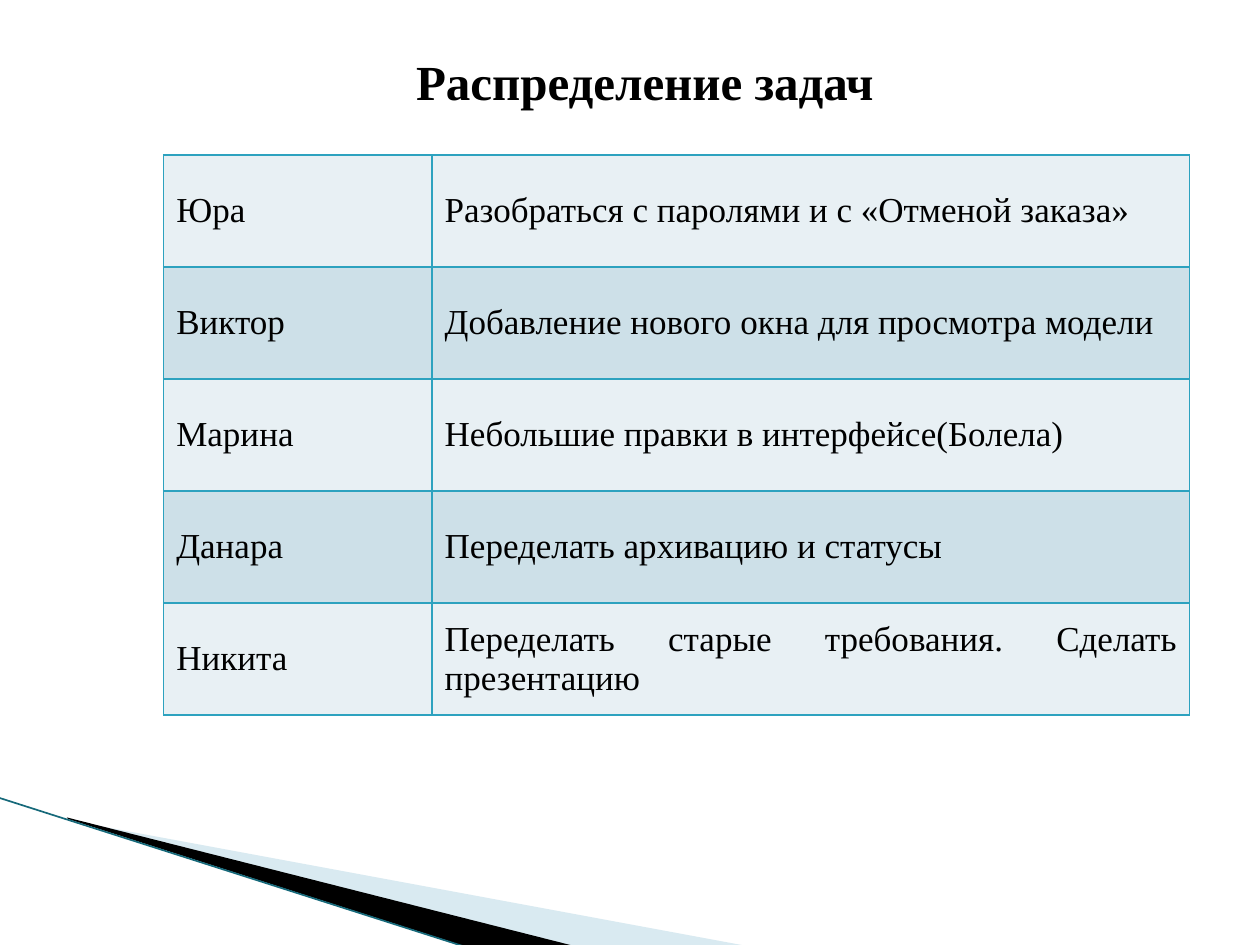
from lxml import etree
from pptx import Presentation
from pptx.dml.color import RGBColor
from pptx.enum.shapes import MSO_CONNECTOR
from pptx.enum.text import MSO_ANCHOR, MSO_AUTO_SIZE, PP_ALIGN
from pptx.oxml.ns import qn
from pptx.util import Cm, Pt

FONT = "Times New Roman"
BLACK = RGBColor(0x00, 0x00, 0x00)
PALE_BLUE = RGBColor(0xA0, 0xCB, 0xDC)
DARK_TEAL = RGBColor(0x16, 0x69, 0x7A)
BORDER = RGBColor(0x2D, 0xA2, 0xBF)
BANDS = (RGBColor(0xE8, 0xF0, 0xF4), RGBColor(0xCD, 0xE0, 0xE8))
STRAIGHT = MSO_CONNECTOR.STRAIGHT
MIDDLE = MSO_ANCHOR.MIDDLE
FIT_SHAPE = MSO_AUTO_SIZE.SHAPE_TO_FIT_TEXT
LEFT, CENTER, JUSTIFY = PP_ALIGN.LEFT, PP_ALIGN.CENTER, PP_ALIGN.JUSTIFY
TITLE_ONLY = 5

TASKS = (
    ("Юра", "Разобраться с паролями и с «Отменой заказа»"),
    ("Виктор", "Добавление нового окна для просмотра модели"),
    ("Марина", "Небольшие правки в интерфейсе(Болела)"),
    ("Данара", "Переделать архивацию и статусы"),
    ("Никита", "Переделать старые требования. Сделать презентацию"),
)
COLUMN_WIDTHS = (5.41, 15.27)
ROW_HEIGHT = 2.26
PALE_WEDGE = ((1.4, 16.54), (15.11, 19.08), (11.58, 19.08), (1.4, 16.51))
BLACK_WEDGE = ((1.35, 16.48), (11.61, 19.08), (9.45, 19.1), (1.37, 16.51))


def format_paragraph(paragraph, size, align, bold=False):
    """Set the font and alignment of a whole paragraph."""
    paragraph.alignment = align
    font = paragraph.font
    font.name, font.size, font.bold = FONT, Pt(size), bold
    font.color.rgb = BLACK


def add_wedge(page, points, color, opacity=100):
    """Draw a filled polygon through points given in centimetres."""
    start, *others = [(Cm(x), Cm(y)) for x, y in points]
    builder = page.shapes.build_freeform(*start)
    builder.add_line_segments(others, close=True)
    wedge = builder.convert_to_shape()
    wedge.shadow.inherit = False
    wedge.line.fill.background()
    wedge.fill.solid()
    wedge.fill.fore_color.rgb = color
    if opacity < 100:
        tint = wedge.fill._xPr.find(".//" + qn("a:srgbClr"))
        etree.SubElement(tint, qn("a:alpha"), val=str(opacity * 1000))


def add_edge_line(page):
    """Draw the thin line along the corner decoration."""
    line = page.shapes.add_connector(
        STRAIGHT, Cm(-0.03), Cm(16.08), Cm(9.42), Cm(19.1))
    line.line.color.rgb = DARK_TEAL
    line.line.width = Pt(0.95)
    etree.SubElement(line._element.spPr, qn("a:effectLst"))


def set_borders(cell):
    """Give a cell the same thin border on all four sides."""
    properties = cell._tc.get_or_add_tcPr()
    for side in ("lnL", "lnR", "lnT", "lnB"):
        border = etree.SubElement(properties, qn("a:" + side), w=str(Pt(1)))
        fill = etree.SubElement(border, qn("a:solidFill"))
        etree.SubElement(fill, qn("a:srgbClr"), val=str(BORDER))


def add_task_table(page):
    """Add the table of people and their tasks."""
    table = page.shapes.add_table(
        len(TASKS), len(COLUMN_WIDTHS), Cm(3.3), Cm(3.12),
        Cm(sum(COLUMN_WIDTHS)), Cm(ROW_HEIGHT * len(TASKS))).table
    table.first_row = False
    for column, width in zip(table.columns, COLUMN_WIDTHS):
        column.width = Cm(width)
    for index, (row, texts) in enumerate(zip(table.rows, TASKS)):
        row.height = Cm(ROW_HEIGHT)
        for cell, text, align in zip(row.cells, texts, (LEFT, JUSTIFY)):
            set_borders(cell)
            cell.fill.solid()
            cell.fill.fore_color.rgb = BANDS[index % 2]
            cell.vertical_anchor = MIDDLE
            cell.text = text
            format_paragraph(cell.text_frame.paragraphs[0], 20, align)


def set_title(page, text):
    """Place and format the title placeholder."""
    title = page.shapes.title
    title.left, title.top = Cm(8.1), Cm(0.91)
    title.width, title.height = Cm(9.8), Cm(1.45)
    frame = title.text_frame
    frame.text = text
    frame.word_wrap = False
    frame.auto_size = FIT_SHAPE
    frame.vertical_anchor = MIDDLE
    format_paragraph(frame.paragraphs[0], 28, CENTER, bold=True)


def main():
    """Build and save the slide."""
    deck = Presentation()
    deck.slide_width, deck.slide_height = Cm(25.4), Cm(19.05)
    page = deck.slides.add_slide(deck.slide_layouts[TITLE_ONLY])
    add_wedge(page, PALE_WEDGE, PALE_BLUE, opacity=40)
    add_wedge(page, BLACK_WEDGE, BLACK)
    add_edge_line(page)
    add_task_table(page)
    set_title(page, "Распределение задач")
    deck.save("out.pptx")


main()
